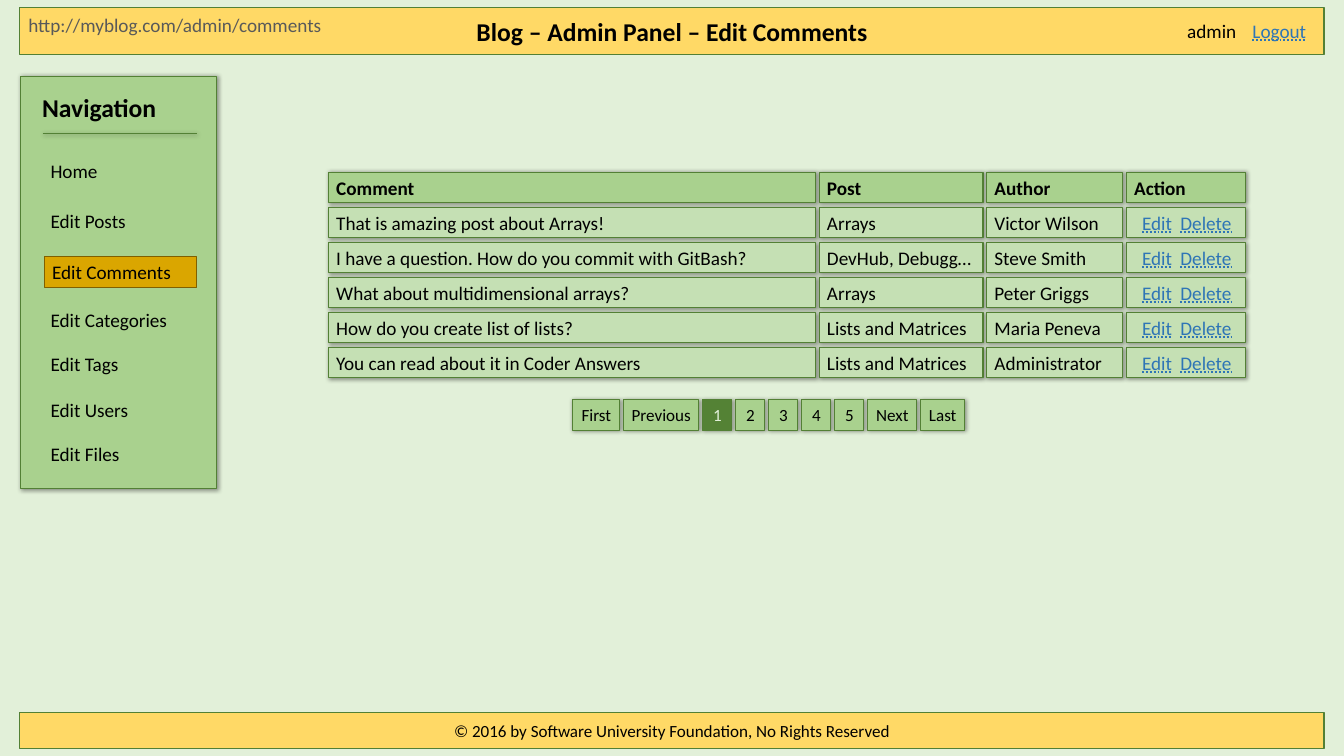
from collections import namedtuple
from dataclasses import dataclass

from lxml import etree
from pptx import Presentation
from pptx.dml.color import RGBColor
from pptx.enum import shapes, text
from pptx.oxml import ns
from pptx.util import Inches, Pt

Box = namedtuple("Box", "left top width height")


@dataclass(frozen=True)
class Theme:
    font: str = "Calibri"
    page: str = "E2F0D9"
    bar: str = "FFD966"
    panel: str = "A9D18E"
    cell: str = "C5E0B4"
    border: str = "538035"
    current_page: str = "548235"
    selected: str = "DAA600"
    selected_border: str = "806000"
    ink: str = "000000"
    address: str = "595959"
    link: str = "2E75B6"
    heading: int = 24
    body: int = 18
    small: int = 16


THEME = Theme()
CENTER = text.PP_ALIGN.CENTER
LEFT = text.PP_ALIGN.LEFT

NAV_ITEMS = [("Home", 1.04), ("Edit Posts", 1.68), ("Edit Comments", 2.35),
             ("Edit Categories", 2.97), ("Edit Tags", 3.54),
             ("Edit Users", 4.15), ("Edit Files", 4.72)]
COLUMNS = [("Comment", 6.34), ("Post", 2.13), ("Author", 1.77), ("Action", 1.55)]
COMMENTS = [
    ("That is amazing post about Arrays!", "Arrays", "Victor Wilson"),
    ("I have a question. How do you commit with GitBash?", "DevHub, Debugg…", "Steve Smith"),
    ("What about multidimensional arrays?", "Arrays", "Peter Griggs"),
    ("How do you create list of lists?", "Lists and Matrices", "Maria Peneva"),
    ("You can read about it in Coder Answers", "Lists and Matrices", "Administrator"),
]
ACTIONS = "Edit\tDelete"
PAGES = [("First", 0.61), ("Previous", 0.98), ("1", 0.38), ("2", 0.38), ("3", 0.38),
         ("4", 0.38), ("5", 0.38), ("Next", 0.64), ("Last", 0.57)]
GAP = 0.05


def inches(box):
    return [Inches(round(v, 3)) for v in box]


def set_effects(sp, shadow):
    """Replace the theme's effects with a soft shadow or with none."""
    spPr = sp._element.spPr
    effects = etree.SubElement(spPr, ns.qn("a:effectLst"))
    if shadow:
        outer = etree.SubElement(effects, ns.qn("a:outerShdw"), blurRad=str(Pt(4)),
                                 dist=str(Pt(1)), dir="2700000", algn="tl", rotWithShape="0")
        color = etree.SubElement(outer, ns.qn("a:srgbClr"), val=THEME.ink)
        etree.SubElement(color, ns.qn("a:alpha"), val="40000")


def paint(sp, fill, border=THEME.border, weight=1, shadow=False):
    sp.fill.solid()
    sp.fill.fore_color.rgb = RGBColor.from_string(fill)
    sp.line.color.rgb = RGBColor.from_string(border)
    sp.line.width = Pt(weight)
    set_effects(sp, shadow)


def write(sp, words, size=THEME.body, color=THEME.ink, bold=False, align=LEFT, wrap=True):
    tf = sp.text_frame
    tf.text = words
    tf.word_wrap = wrap
    tf.auto_size = text.MSO_AUTO_SIZE.NONE
    tf.vertical_anchor = text.MSO_ANCHOR.MIDDLE
    p = tf.paragraphs[0]
    p.alignment = align
    for r in p.runs:
        r.font.name = THEME.font
        r.font.size = Pt(size)
        r.font.bold = bold
        r.font.color.rgb = RGBColor.from_string(color)


def add_tile(parent, box, fill, words="", border=THEME.border, weight=1, shadow=True, **style):
    sp = parent.add_shape(shapes.MSO_SHAPE.RECTANGLE, *inches(box))
    paint(sp, fill, border, weight, shadow)
    if words:
        write(sp, words, **style)
    return sp


def add_label(s, box, words, **style):
    sp = s.shapes.add_textbox(*inches(box))
    write(sp, words, **style)
    return sp


def underline(r):
    r.font.underline = text.MSO_UNDERLINE.DOTTED_LINE


def add_header(s, box):
    title = s.shapes.title
    title.left, title.top, title.width, title.height = inches(box)
    paint(title, THEME.bar)
    write(title, "Blog – Admin Panel – Edit Comments", size=THEME.heading,
          bold=True, align=CENTER)
    add_label(s, Box(box.left + 0.01, box.top + 0.02, 4.07, 0.4),
              "http://myblog.com/admin/comments", color=THEME.address, wrap=False)
    right = box.left + box.width
    add_label(s, Box(right - 1.88, box.top + 0.1, 0.85, 0.4), "admin", wrap=False)
    logout = add_label(s, Box(right - 1.03, box.top + 0.1, 0.91, 0.4), "Logout",
                       color=THEME.link, wrap=False)
    underline(logout.text_frame.paragraphs[0].runs[0])


def add_navigation(s, box):
    add_tile(s.shapes, box, THEME.panel)
    add_label(s, Box(box.left + 0.18, box.top + 0.16, 2.2, 0.5), "Navigation",
              size=THEME.heading, bold=True)
    x, y = box.left + 0.29, box.top + 0.75
    rule = s.shapes.add_connector(shapes.MSO_CONNECTOR.STRAIGHT,
                                  *inches((x, y, x + 2, y)))
    rule.line.color.rgb = RGBColor.from_string(THEME.border)
    rule.line.width = Pt(1)
    set_effects(rule, shadow=True)
    for name, offset in NAV_ITEMS:
        item = Box(x, box.top + offset, 1.98, 0.4)
        if name == "Edit Comments":
            add_tile(s.shapes, item._replace(left=x + 0.02), THEME.selected, name,
                     border=THEME.selected_border, weight=0.75, shadow=False)
        else:
            add_label(s, item, name)


def format_actions(sp):
    """Underline the two links and set them apart with a tab stop."""
    tf = sp.text_frame
    tf.margin_left = Inches(0.2)
    tf.margin_right = 0
    p = tf.paragraphs[0]
    tabs = etree.SubElement(p._p.get_or_add_pPr(), ns.qn("a:tabLst"))
    etree.SubElement(tabs, ns.qn("a:tab"), pos=str(Inches(0.5)), algn="l")
    edit, delete = ACTIONS.split("\t")
    p.runs[0].text = edit
    for words in ("\t", delete):
        r = p.add_run()
        r.text = words
        r.font.name = THEME.font
        r.font.size = Pt(THEME.body)
        r.font.color.rgb = RGBColor.from_string(THEME.link)
    underline(p.runs[0])
    underline(p.runs[2])


def add_comments(s, box):
    """Lay out the comment list as separate tiles with gaps between them."""
    rows = [[name for name, _ in COLUMNS]] + [[*row, ACTIONS] for row in COMMENTS]
    height = 0.4
    pitch = (box.height - height) / (len(rows) - 1)
    for i, row in enumerate(rows):
        x = box.left
        for words, (_, width) in zip(row, COLUMNS):
            is_action = words == ACTIONS
            sp = add_tile(s.shapes, Box(x, box.top + i * pitch, width, height),
                          THEME.cell if i else THEME.panel, words, bold=i == 0,
                          color=THEME.link if is_action else THEME.ink)
            if is_action:
                format_actions(sp)
            x += width + GAP


def add_pagination(s, box):
    group = s.shapes.add_group_shape()
    x = box.left
    for name, width in PAGES:
        current = name == "1"
        add_tile(group.shapes, Box(x, box.top, width, box.height),
                 THEME.current_page if current else THEME.panel, name, size=THEME.small,
                 color=THEME.page if current else THEME.ink, align=CENTER, wrap=False)
        x += width + GAP


def add_footer(s, box):
    add_tile(s.shapes, box, THEME.bar,
             "© 2016 by Software University Foundation, No Rights Reserved",
             shadow=False, size=THEME.small, align=CENTER)


def main():
    prs = Presentation()
    prs.slide_width, prs.slide_height = Inches(17.5), Inches(9.84)
    s = prs.slides.add_slide(prs.slide_layouts[5])
    s.background.fill.solid()
    s.background.fill.fore_color.rgb = RGBColor.from_string(THEME.page)
    add_header(s, Box(0.26, 0.1, 16.98, 0.61))
    add_navigation(s, Box(0.27, 0.99, 2.55, 5.37))
    add_comments(s, Box(4.28, 2.24, 11.93, 2.68))
    add_pagination(s, Box(7.46, 5.2, 5.12, 0.4))
    add_footer(s, Box(0.26, 9.28, 16.98, 0.46))
    prs.save("out.pptx")


if __name__ == "__main__":
    main()
